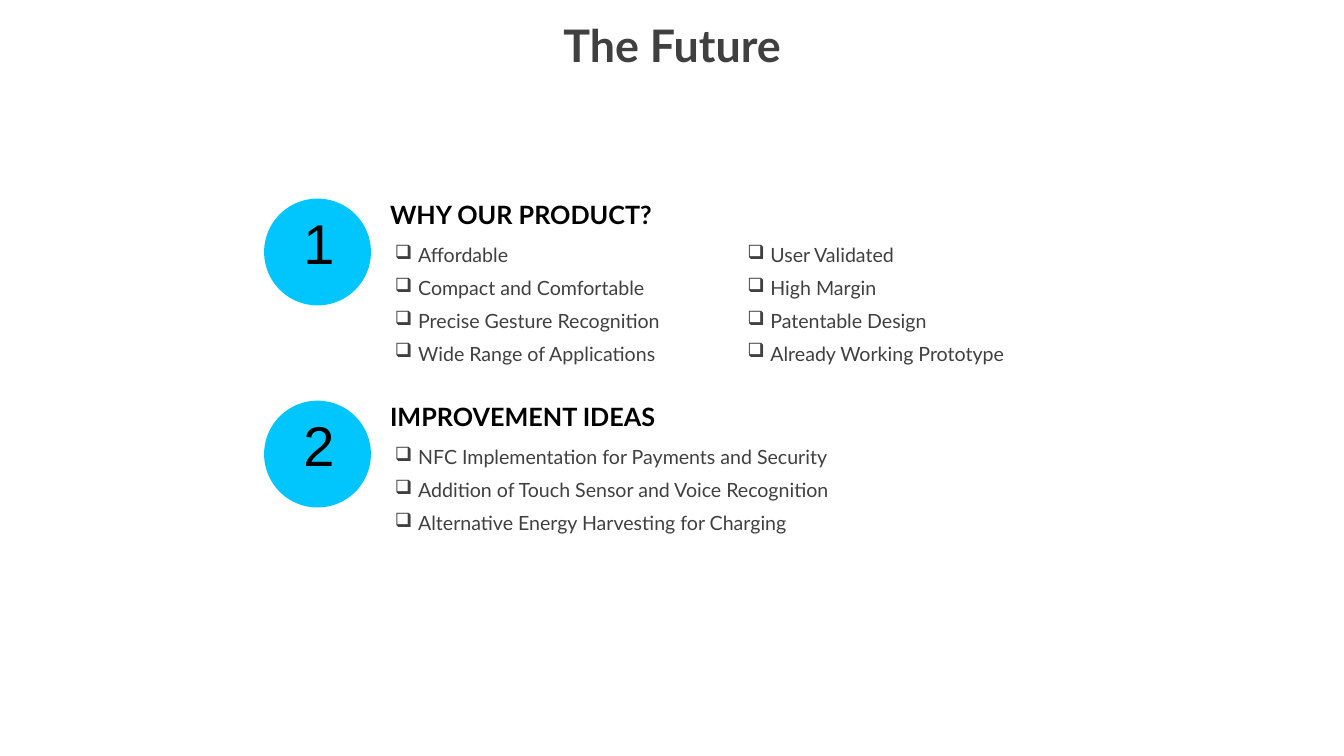
import pptx
import pptx.util
from lxml import etree
from pptx.dml.color import RGBColor
from pptx.enum.shapes import MSO_SHAPE
from pptx.enum.text import MSO_ANCHOR, MSO_AUTO_SIZE, PP_ALIGN
from pptx.oxml.ns import qn

SLIDE_WIDTH, SLIDE_HEIGHT = 26.67, 15
GRID = 100  # columns across and rows down the slide

BLACK, GRAY, CYAN = "000000", "404040", "00C6FD"
BADGE_LEFT, TEXT_LEFT, SECOND_LIST_LEFT = 19.65, 29.02, 55.23
FIRST_SECTION_TOP, SECTION_PITCH = 26.27, 26.73
LIST_INDENT = 0.46

# Heading, heading width, then lists of (left, width, items)
SECTIONS = [
    ("WHY OUR PRODUCT?", 57.07, [
        (TEXT_LEFT, 21.56, ["Affordable", "Compact and Comfortable",
                            "Precise Gesture Recognition", "Wide Range of Applications"]),
        (SECOND_LIST_LEFT, 21.56, ["User Validated", "High Margin",
                                   "Patentable Design", "Already Working Prototype"]),
    ]),
    ("IMPROVEMENT IDEAS", 53.39, [
        (TEXT_LEFT, 38.1, ["NFC Implementation for Payments and Security",
                           "Addition of Touch Sensor and Voice Recognition",
                           "Alternative Energy Harvesting for Charging"]),
    ]),
]


def color(hex_string):
    return RGBColor.from_string(hex_string)


def grid_box(left, top, width, height):
    """Turn columns and rows into slide lengths."""
    column, row = SLIDE_WIDTH / GRID, SLIDE_HEIGHT / GRID
    return [pptx.util.Inches(length) for length in
            (left * column, top * row, width * column, height * row)]


def add_text(slide, box, lines, size, hex_color, font="Lato", bold=False,
             align=PP_ALIGN.LEFT, anchor=MSO_ANCHOR.TOP, inset=0.1,
             line_spacing=None, bulleted=False):
    frame = slide.shapes.add_textbox(*grid_box(*box)).text_frame
    frame.word_wrap = True
    frame.auto_size = MSO_AUTO_SIZE.SHAPE_TO_FIT_TEXT
    frame.vertical_anchor = anchor
    frame.margin_left = frame.margin_right = pptx.util.Inches(inset)
    frame.margin_top = frame.margin_bottom = pptx.util.Inches(inset)
    frame.text = "\n".join(lines)
    for paragraph in frame.paragraphs:
        if bulleted:
            add_bullet(paragraph)
        paragraph.alignment = align
        paragraph.line_spacing = line_spacing
        paragraph.font.name = font
        paragraph.font.size = pptx.util.Pt(size)
        paragraph.font.bold = bold
        paragraph.font.color.rgb = color(hex_color)


def add_bullet(paragraph):
    properties = paragraph._p.get_or_add_pPr()
    indent = pptx.util.Inches(LIST_INDENT)
    properties.set("marL", str(indent))
    properties.set("indent", str(-indent))
    etree.SubElement(properties, qn("a:buChar")).set("char", "❑")


def add_badge(slide, number, top):
    """Draw a section's number on a circle."""
    circle = slide.shapes.add_shape(
        MSO_SHAPE.OVAL, *grid_box(BADGE_LEFT, top, 7.95, 14.13))
    circle.shadow.inherit = False
    circle.fill.solid()
    circle.fill.fore_color.rgb = color(CYAN)
    circle.line.fill.background()
    add_text(slide, (22.38, top + 4.07, 2.21, 7.07), [str(number)], 80, BLACK,
             font="Arial", align=PP_ALIGN.CENTER, inset=0.05,
             line_spacing=pptx.util.Pt(63))


def add_section(slide, number, top, heading, heading_width, lists):
    add_badge(slide, number, top)
    add_text(slide, (TEXT_LEFT, top + 0.07, heading_width, 4.07), [heading], 36,
             BLACK, bold=True, anchor=MSO_ANCHOR.MIDDLE, inset=0)
    for left, width, items in lists:
        height = 4.4 * len(items) + 1.13
        add_text(slide, (left, top + 3.93, width, height), items, 28, GRAY,
                 line_spacing=1.4, bulleted=True)


def main():
    presentation = pptx.Presentation()
    presentation.slide_width = pptx.util.Inches(SLIDE_WIDTH)
    presentation.slide_height = pptx.util.Inches(SLIDE_HEIGHT)
    slide = presentation.slides.add_slide(presentation.slide_layouts[6])

    add_text(slide, (25.8, 1.73, 48.41, 8.53), ["The Future"], 64, GRAY,
             bold=True, align=PP_ALIGN.CENTER)
    for index, section in enumerate(SECTIONS):
        add_section(slide, index + 1, FIRST_SECTION_TOP + index * SECTION_PITCH, *section)

    presentation.save("out.pptx")


if __name__ == "__main__":
    main()
